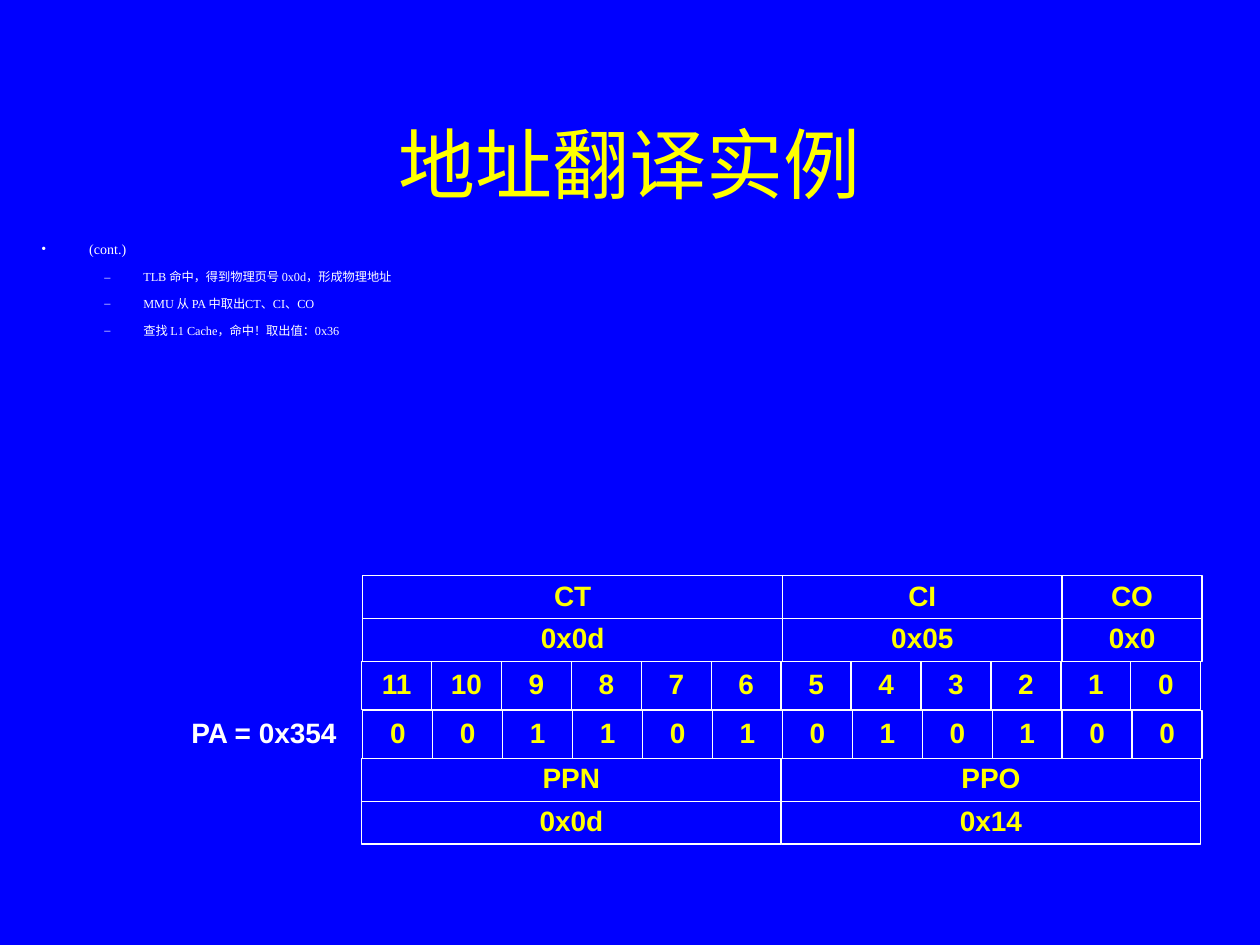
from lxml import etree
from pptx import Presentation
from pptx.dml.color import RGBColor
from pptx.enum.shapes import MSO_SHAPE
from pptx.enum.text import MSO_ANCHOR, PP_ALIGN
from pptx.oxml.ns import qn
from pptx.util import Inches, Pt

RECT = MSO_SHAPE.RECTANGLE
TOP, MIDDLE = MSO_ANCHOR.TOP, MSO_ANCHOR.MIDDLE
CENTER, RIGHT = PP_ALIGN.CENTER, PP_ALIGN.RIGHT
BLUE, YELLOW, WHITE = "0000FF", "FFFF00", "FFFFFF"
SERIF, SANS = "Times New Roman", "Arial"

POINTS = [
    (0, "(cont.)"),
    (1, "TLB 命中，得到物理页号 0x0d，形成物理地址"),
    (1, "MMU 从 PA 中取出CT、CI、CO"),
    (1, "查找 L1 Cache，命中！取出值：0x36"),
]
# Size, space before, left indent and hanging indent, bullet
LEVELS = [(8, 8, 0.38, 0.38, "•"), (7, 7, 0.81, 0.31, "–")]

# Row offset from the box, height, then the text and width in bits of each field
BITS = 12
ROWS = [
    (0.01, 0, 0.34, [("CT", 6), ("CI", 4), ("CO", 2)]),
    (0.01, 0.34, 0.34, [("0x0d", 6), ("0x05", 4), ("0x0", 2)]),
    (0, 0.68, 0.38, [(str(bit), 1) for bit in reversed(range(BITS))]),
    (0.01, 1.07, 0.38, [(bit, 1) for bit in f"{0x354:012b}"]),
    (0, 1.45, 0.34, [("PPN", 6), ("PPO", 6)]),
    (0, 1.79, 0.34, [("0x0d", 6), ("0x14", 6)]),
]


def rgb(code):
    return RGBColor.from_string(code)


def style(para, face, size, color, bold=False):
    font = para.font
    font.name, font.size, font.bold = face, Pt(size), bold
    font.color.rgb = rgb(color)


def add_title(slide, left, top, width, height):
    title = slide.shapes.title
    title.left, title.top = Inches(left), Inches(top)
    title.width, title.height = Inches(width), Inches(height)
    frame = title.text_frame
    frame.text = "地址翻译实例"
    frame.vertical_anchor = MIDDLE
    frame.paragraphs[0].alignment = CENTER
    style(frame.paragraphs[0], SERIF, 44, YELLOW)


def add_bullet(para, char, indent, hang):
    props = para._p.get_or_add_pPr()
    props.set("marL", str(Inches(indent)))
    props.set("indent", str(-Inches(hang)))
    tint = etree.SubElement(props, qn("a:buClr"))
    etree.SubElement(tint, qn("a:srgbClr"), val=WHITE)
    etree.SubElement(props, qn("a:buFont"), typeface=SERIF)
    etree.SubElement(props, qn("a:buChar"), char=char)


def add_points(slide, left, top, width, height):
    box = slide.shapes.add_textbox(
        Inches(left), Inches(top), Inches(width), Inches(height))
    frame = box.text_frame
    frame.word_wrap = True
    for i, (level, text) in enumerate(POINTS):
        para = frame.add_paragraph() if i else frame.paragraphs[0]
        size, gap, indent, hang, char = LEVELS[level]
        para.text, para.level = text, level
        add_bullet(para, char, indent, hang)
        para.space_before = Pt(gap if i else 0)
        style(para, SERIF, size, WHITE)


def add_cell(group, text, single, left, top, width, height):
    cell = group.shapes.add_shape(
        RECT, Inches(left), Inches(top), Inches(width), Inches(height))
    cell.shadow.inherit = False
    if single:
        cell.fill.background()
    else:
        cell.fill.solid()
        cell.fill.fore_color.rgb = rgb(BLUE)
    cell.line.color.rgb = rgb(WHITE)
    cell.line.width = Pt(0.75)
    frame = cell.text_frame
    frame.text = text
    frame.word_wrap = not single
    frame.vertical_anchor = MIDDLE if single else TOP
    para = frame.paragraphs[0]
    para.alignment, para.line_spacing = CENTER, 0.9
    style(para, SANS, 16, YELLOW, True)


def add_label(group, left, top, width, height):
    box = group.shapes.add_textbox(
        Inches(left), Inches(top), Inches(width), Inches(height))
    frame = box.text_frame
    frame.text = "PA = 0x354"
    frame.word_wrap = False
    frame.vertical_anchor = MIDDLE
    frame.paragraphs[0].alignment = RIGHT
    style(frame.paragraphs[0], SANS, 16, WHITE, True)


def add_address(slide, left, top, width):
    group = slide.shapes.add_group_shape()
    step = width / BITS
    for dx, dy, height, fields in ROWS:
        x = left + dx
        for text, bits in fields:
            add_cell(group, text, bits == 1, x, top + dy, bits * step, height)
            x += bits * step
    add_label(group, left - 1.47, top + 1.06, 1.37, 0.37)


def main():
    deck = Presentation()
    deck.slide_width, deck.slide_height = Inches(10), Inches(7.5)
    slide = deck.slides.add_slide(deck.slide_layouts[5])
    slide.background.fill.solid()
    slide.background.fill.fore_color.rgb = rgb(BLUE)

    add_title(slide, 0.75, 0.67, 8.5, 1.25)
    add_points(slide, 0.23, 1.86, 9.52, 0.83)
    add_address(slide, 2.87, 4.57, 6.66)
    deck.save("out.pptx")


if __name__ == "__main__":
    main()
